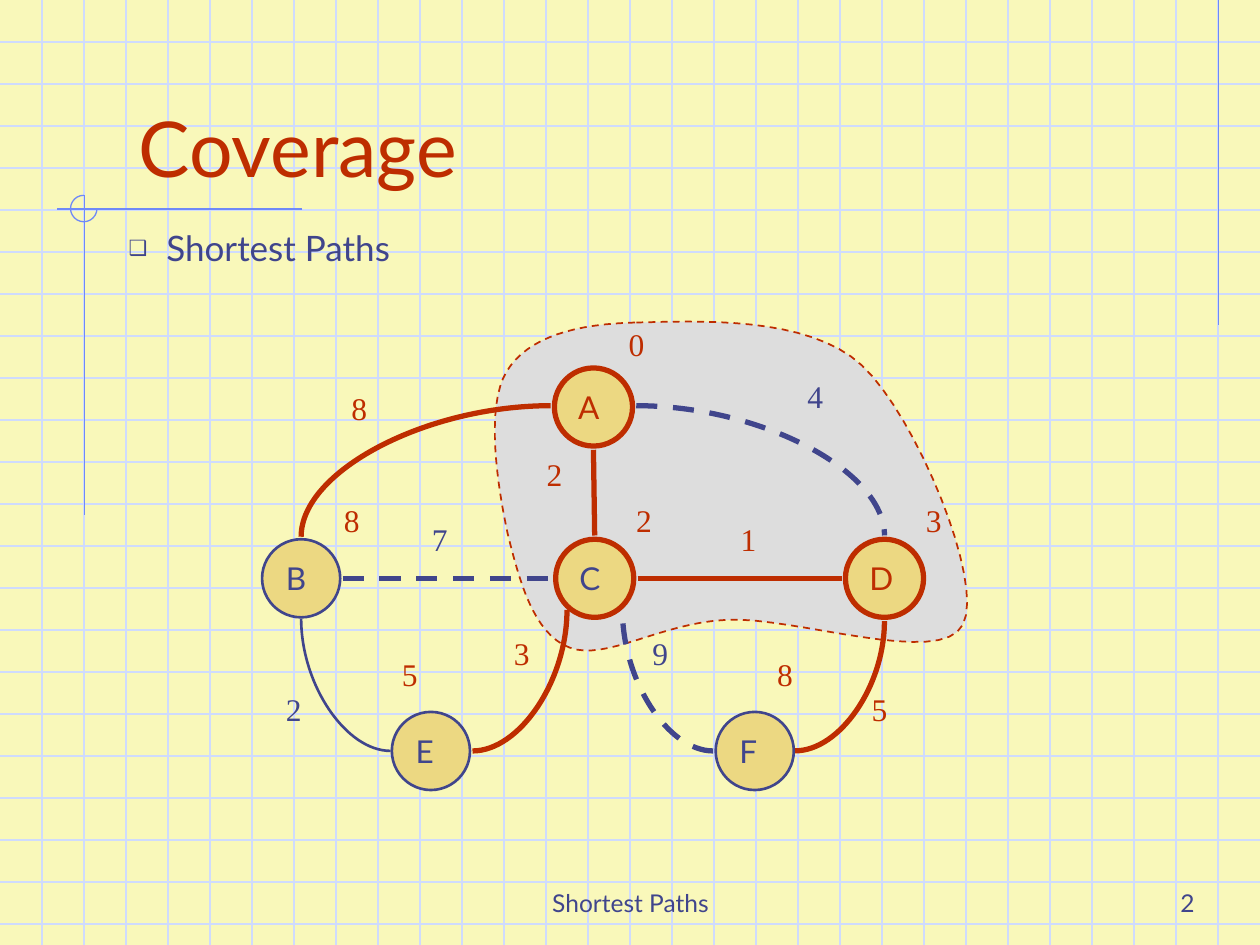
from lxml import etree
from pptx import Presentation
from pptx import util as u
from pptx.dml.color import RGBColor
from pptx.enum import dml, shapes, text
from pptx.oxml import ns

PAPER = RGBColor(0xF9, 0xF8, 0xBA)
GRID = RGBColor(0xCF, 0xDB, 0xFD)
ACCENT = RGBColor(0x6F, 0x89, 0xF7)
RED = RGBColor(0xBE, 0x2D, 0x00)
BLUE = RGBColor(0x40, 0x45, 0x8C)
GOLD = RGBColor(0xEC, 0xD8, 0x82)
CLOUD = RGBColor(0xDD, 0xDD, 0xDD)

LATO, TIMES = "Lato", "Times New Roman"
WIDTH, HEIGHT, NODE = 10, 7.5, 0.62
LEFT, CENTER, RIGHT = text.PP_ALIGN.LEFT, text.PP_ALIGN.CENTER, text.PP_ALIGN.RIGHT
TOP, MIDDLE, BOTTOM = text.MSO_ANCHOR.TOP, text.MSO_ANCHOR.MIDDLE, text.MSO_ANCHOR.BOTTOM


def bezier(start, first, second, end, steps=16):
    """Points along a cubic curve, without its start."""
    for step in range(1, steps + 1):
        t = step / steps
        weights = ((1 - t) ** 3, 3 * t * (1 - t) ** 2, 3 * t * t * (1 - t), t ** 3)
        yield tuple(sum(w * point[axis] for w, point in zip(weights, (start, first, second, end)))
                    for axis in (0, 1))


class Page:
    def __init__(self, deck):
        self.slide = deck.slides.add_slide(deck.slide_layouts[1])
        self.items = self.slide.shapes
        self.slide.background.fill.solid()
        self.slide.background.fill.fore_color.rgb = PAPER

    def outline(self, item, color, weight, dashed=False):
        item.line.color.rgb = color
        item.line.width = u.Pt(weight)
        if dashed:
            item.line.dash_style = dml.MSO_LINE.DASH

    def set_text(self, item, words, size, color, font=LATO, align=LEFT, anchor=TOP, wrap=True):
        frame = item.text_frame
        frame.auto_size = text.MSO_AUTO_SIZE.NONE
        frame.word_wrap = wrap
        frame.vertical_anchor = anchor
        para = frame.paragraphs[0]
        para.alignment = align
        span = para.add_run()
        span.text = words
        span.font.size = u.Pt(size)
        span.font.name = font
        span.font.color.rgb = color
        return para

    def placeholder(self, index, place, words, size, color, **style):
        item = self.slide.placeholders[index]
        item.left, item.top, item.width, item.height = map(u.Inches, place)
        self.items._spTree.append(item._element)  # in front of the grid
        return self.set_text(item, words, size, color, **style)

    def bullet(self, para, indent):
        props = para._p.get_or_add_pPr()
        props.set("marL", str(u.Inches(indent)))
        props.set("indent", str(-u.Inches(indent)))
        tint = etree.SubElement(props, ns.qn("a:buClr"))
        etree.SubElement(tint, ns.qn("a:srgbClr"), val=str(BLUE))
        etree.SubElement(props, ns.qn("a:buSzPct"), val="60000")
        etree.SubElement(props, ns.qn("a:buChar"), char="❑")
        para.space_before = u.Pt(0)

    def label(self, place, words, size, color, **style):
        box = self.items.add_textbox(*map(u.Inches, place))
        self.set_text(box, words, size, color, **style)

    def line(self, start, end, color, weight, dashed=False, curved=False):
        """A curved line leaves its start sideways and reaches its end upright."""
        kind = shapes.MSO_CONNECTOR.CURVE if curved else shapes.MSO_CONNECTOR.STRAIGHT
        link = self.items.add_connector(kind, *map(u.Inches, (*start, *end)))
        self.outline(link, color, weight, dashed)
        props = link._element.spPr
        if curved:
            props.find(ns.qn("a:prstGeom")).set("prst", "curvedConnector2")
        etree.SubElement(props, ns.qn("a:effectLst"))

    def arc(self, left, top, size, color):
        item = self.items.add_shape(shapes.MSO_SHAPE.ARC, *map(u.Inches, (left, top, size, size)))
        item.adjustments[0], item.adjustments[1] = 0, 162
        item.shadow.inherit = False
        item.fill.background()
        self.outline(item, color, 0.75)

    def region(self, start, curves, fill, color):
        points = [start]
        for curve in curves:
            points.extend(bezier(points[-1], *curve))
        builder = self.items.build_freeform(*map(u.Inches, start), scale=1.0)
        builder.add_line_segments([tuple(map(u.Inches, point)) for point in points[1:]], close=True)
        item = builder.convert_to_shape()
        item.shadow.inherit = False
        item.fill.solid()
        item.fill.fore_color.rgb = fill
        self.outline(item, color, 1, dashed=True)

    def node(self, name, left, top, ink, rim, weight):
        item = self.items.add_shape(shapes.MSO_SHAPE.OVAL, *map(u.Inches, (left, top, NODE, NODE)))
        item.shadow.inherit = False
        item.fill.solid()
        item.fill.fore_color.rgb = GOLD
        self.outline(item, rim, weight)
        self.set_text(item, name, 18, ink, anchor=MIDDLE, wrap=False)


def main():
    deck = Presentation()
    deck.slide_width, deck.slide_height = u.Inches(WIDTH), u.Inches(HEIGHT)
    page = Page(deck)

    # Squared paper, three squares to the inch
    for row in range(1, 23):
        page.line((0, row / 3), (WIDTH, row / 3), GRID, 0.75)
    for column in range(1, 30):
        page.line((column / 3, 0), (column / 3, HEIGHT), GRID, 0.75)

    # Corner ornaments
    page.line((9.67, 0), (9.67, 2.58), ACCENT, 0.75)
    page.line((2.4, 1.66), (0.45, 1.66), ACCENT, 0.75)
    page.line((0.67, 1.55), (0.67, 4.09), ACCENT, 0.75)
    page.arc(0.56, 1.55, 0.21, ACCENT)

    # Title and list
    page.placeholder(0, (1, 0.33, 8.5, 1.25), "Coverage", 44, RED, anchor=BOTTOM)
    topic = page.placeholder(1, (0.92, 1.75, 7.08, 0.5), "Shortest Paths", 20, BLUE)
    page.bullet(topic, 0.3)

    # Cloud of covered nodes
    page.region((5.05, 2.56), [
        ((5.52, 2.55), (6.41, 2.5), (6.84, 2.9)),
        ((7.27, 3.3), (7.82, 4.63), (7.64, 4.96)),
        ((7.47, 5.3), (6.3, 4.89), (5.77, 4.92)),
        ((5.25, 4.94), (4.81, 5.25), (4.52, 5.14)),
        ((4.23, 5.03), (4.12, 4.6), (4.03, 4.24)),
        ((3.95, 3.87), (3.85, 3.23), (4.02, 2.95)),
        ((4.19, 2.67), (4.58, 2.57), (5.05, 2.56)),
    ], CLOUD, RED)

    # Nodes: name, left, top, letter colour, rim colour, rim weight
    for node in [
        ("A", 4.4, 2.92, RED, RED, 3),
        ("B", 2.08, 4.28, BLUE, BLUE, 1.5),
        ("C", 4.41, 4.28, BLUE, RED, 3),
        ("D", 6.71, 4.28, RED, RED, 3),
        ("E", 3.11, 5.65, BLUE, BLUE, 1.5),
        ("F", 5.68, 5.65, BLUE, BLUE, 1.5),
    ]:
        page.node(*node)

    # Edges: start, end, colour, weight, dashed, curved
    for edge in [
        ((4.37, 3.22), (2.39, 4.26), RED, 3, False, True),    # A-B
        ((3.1, 5.96), (2.39, 4.91), BLUE, 1.5, False, True),  # E-B
        ((3.75, 5.96), (4.5, 4.84), RED, 3, False, True),     # E-C
        ((4.71, 3.57), (4.72, 4.25), RED, 3, False, False),   # A-C
        ((2.72, 4.59), (4.37, 4.59), BLUE, 3, True, False),   # B-C
        ((6.31, 5.96), (7.02, 4.93), RED, 3, False, True),    # F-D
        ((5.05, 3.22), (7.02, 4.25), BLUE, 3, True, True),    # A-D
        ((5.06, 4.59), (6.68, 4.59), RED, 3, False, False),   # C-D
        ((5.66, 5.96), (4.94, 4.84), BLUE, 3, True, True),    # F-C
    ]:
        page.line(*edge)

    # Distances beside the nodes, then edge weights
    for digit, left, top, color in [
        ("0", 4.89, 2.53, RED), ("3", 7.25, 3.93, RED), ("2", 4.95, 3.93, RED),
        ("8", 2.63, 3.93, RED), ("5", 3.09, 5.15, RED), ("8", 6.07, 5.15, RED),
        ("4", 6.31, 2.94, BLUE), ("8", 2.69, 3.04, RED), ("7", 3.33, 4.08, BLUE),
        ("1", 5.78, 4.08, RED), ("2", 2.17, 5.43, BLUE), ("5", 6.82, 5.43, RED),
        ("2", 4.24, 3.56, RED), ("3", 3.98, 4.98, RED), ("9", 5.08, 4.98, BLUE),
    ]:
        page.label((left, top, 0.32, 0.4), digit, 18, color, font=TIMES, wrap=False)

    # Footer and page number
    page.label((3.42, 6.83, 3.17, 0.5), "Shortest Paths", 14, BLUE, align=CENTER, anchor=BOTTOM)
    page.label((7.5, 6.83, 2.08, 0.5), "2", 14, BLUE, align=RIGHT, anchor=BOTTOM)

    deck.save("out.pptx")


if __name__ == "__main__":
    main()
